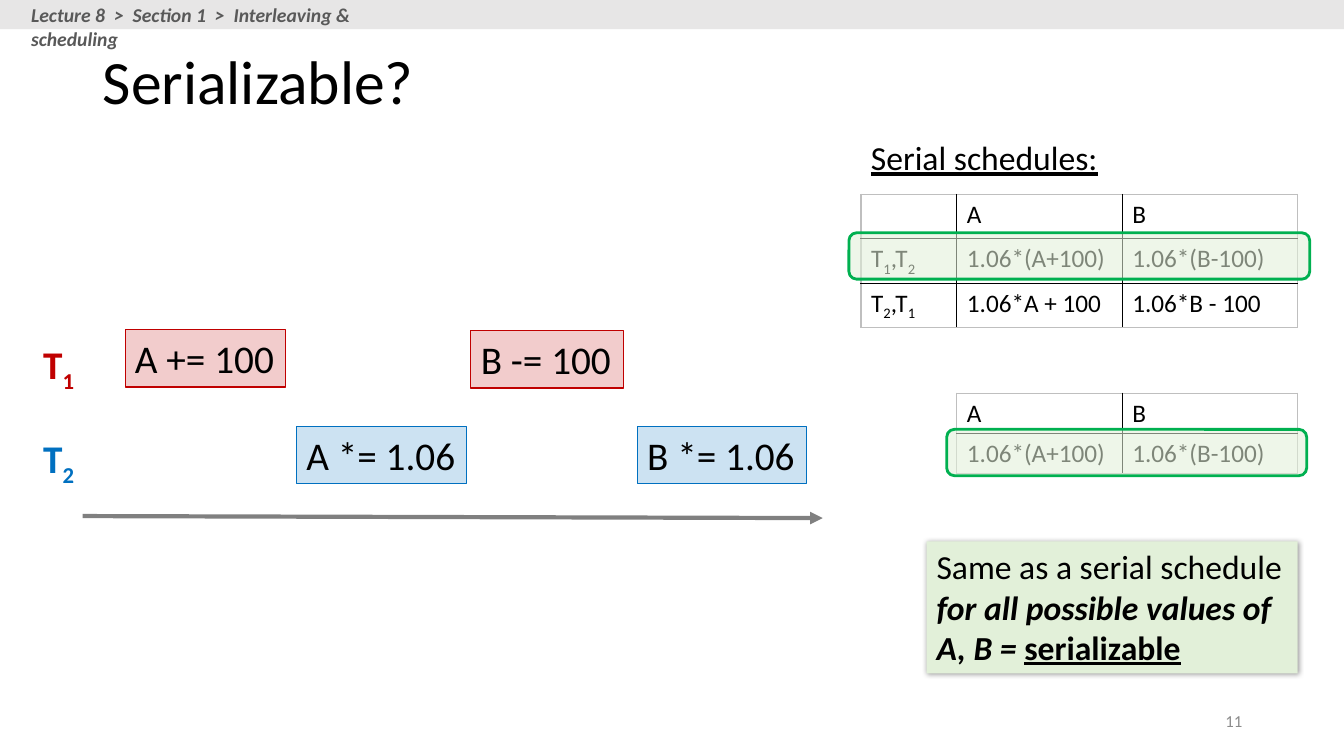
import pptx
import pptx.util
import pptx.dml.color
import pptx.enum.shapes
import pptx.enum.text
import pptx.oxml
import pptx.oxml.ns

Inches = pptx.util.Inches
Pt = pptx.util.Pt
RGBColor = pptx.dml.color.RGBColor
Align = pptx.enum.text.PP_ALIGN
Anchor = pptx.enum.text.MSO_ANCHOR
Shape = pptx.enum.shapes.MSO_SHAPE
Line = pptx.enum.shapes.MSO_CONNECTOR
qn = pptx.oxml.ns.qn

BLACK = RGBColor(0x00, 0x00, 0x00)
RED = RGBColor(0xC0, 0x00, 0x00)
BLUE = RGBColor(0x00, 0x70, 0xC0)
GREEN = RGBColor(0x00, 0xB0, 0x50)
PALE = RGBColor(0xE2, 0xF0, 0xD9)
BAND = RGBColor(0xE7, 0xE6, 0xE6)
DARK = RGBColor(0x59, 0x59, 0x59)
GREY = RGBColor(0x80, 0x80, 0x80)
DIM = RGBColor(0x8C, 0x8C, 0x8C)
EDGE = RGBColor(0xBF, 0xBF, 0xBF)

SUB = {"base": -25}
T1 = [("T", {}), ("1", SUB)]
T2 = [("T", {}), ("2", SUB)]
COMMA = [(",", {})]
SAME = ["1.06*(A+100)", "1.06*(B-100)"]


def node(tag, inner="", **attrs):
    text = "".join(f' {key}="{val}"' for key, val in attrs.items())
    space = pptx.oxml.ns.nsdecls("a")
    return pptx.oxml.parse_xml(f"<a:{tag} {space}{text}>{inner}</a:{tag}>")


def write(frame, text, size=18, color=BLACK, align=Align.LEFT,
          anchor=Anchor.TOP, wrap=True, **style):
    frame.word_wrap = wrap
    frame.vertical_anchor = anchor
    para = frame.paragraphs[0]
    para.alignment = align
    for part, extra in [(text, {})] if isinstance(text, str) else text:
        look = {**style, **extra}
        run = para.add_run()
        run.text = part
        font = run.font
        font.name = "Calibri"
        font.size = Pt(size)
        font.color.rgb = color
        font.bold = look.get("bold", False)
        font.italic = look.get("italic", False)
        font.underline = look.get("under", False)
        if "base" in look:
            font._element.set("baseline", str(look["base"] * 1000))


def label(slide, spot, text, **style):
    box = slide.shapes.add_textbox(*map(Inches, spot))
    write(box.text_frame, text, **style)


def block(slide, spot, fill, kind=Shape.RECTANGLE, alpha=100, edge=None, width=0.75):
    shape = slide.shapes.add_shape(kind, *map(Inches, spot))
    shape.shadow.inherit = False
    shape.fill.solid()
    shape.fill.fore_color.rgb = fill
    if alpha < 100:
        tint = shape._element.spPr.find(qn("a:solidFill"))[0]
        tint.append(node("alpha", val=alpha * 1000))
    if edge is None:
        shape.line.fill.background()
    else:
        shape.line.color.rgb = edge
        shape.line.width = Pt(width)
    return shape


def action(slide, spot, text, color):
    shape = block(slide, spot, color, alpha=20, edge=color)
    write(shape.text_frame, text, size=28, wrap=False)


def ring(slide, spot):
    block(slide, spot, PALE, kind=Shape.ROUNDED_RECTANGLE, alpha=56, edge=GREEN, width=2)


def arrow(slide, start, end):
    line = slide.shapes.add_connector(Line.STRAIGHT, *map(Inches, start + end))
    line.line.color.rgb = GREY
    line.line.width = Pt(3)
    line.line._get_or_add_ln().append(node("tailEnd", type="triangle"))
    line._element.spPr.append(node("effectLst"))


def border(cell, outer):
    props = cell._tc.get_or_add_tcPr()
    for spot, (side, out) in enumerate(zip("LRTB", outer)):
        color = EDGE if out else BLACK
        fill = f'<a:solidFill><a:srgbClr val="{color}"/></a:solidFill>'
        props.insert(spot, node("ln" + side, fill, w=Pt(1)))


def grid(slide, left, top, cols, high, rows):
    last, end = len(rows) - 1, len(cols) - 1
    frame = slide.shapes.add_table(
        len(rows), len(cols), Inches(left), Inches(top),
        Inches(sum(cols)), Inches(high * len(rows)))
    table = frame.table
    table.first_row = table.horz_banding = False
    for col, wide in zip(table.columns, cols):
        col.width = Inches(wide)
    for r, row in enumerate(rows):
        table.rows[r].height = Inches(high)
        for c, text in enumerate(row):
            cell = table.cell(r, c)
            cell.fill.background()
            write(cell.text_frame, text)
            border(cell, (c == 0, c == end, r == 0, r == last))


def head(slide):
    title = slide.shapes.title
    title.left, title.top, title.width, title.height = map(Inches, (0.92, 0.11, 11.5, 1.45))
    write(title.text_frame, "Serializable?", size=44, anchor=Anchor.MIDDLE)
    title.text_frame.paragraphs[0].line_spacing = 0.9
    label(slide, (9.42, 6.95, 3, 0.4), "11", size=12, color=DIM,
          align=Align.RIGHT, anchor=Anchor.MIDDLE)
    block(slide, (0, 0, 13.33, 0.29), BAND)
    label(slide, (0.21, -0.02, 4.18, 0.34),
          "Lecture 8  >  Section 1  >  Interleaving & scheduling",
          size=14, color=DARK, bold=True, italic=True)


def lanes(slide):
    arrow(slide, (0.82, 5.12), (8.16, 5.14))
    for name, top, color in ((T1, 3.33, RED), (T2, 4.26, BLUE)):
        label(slide, (0.33, top, 0.52, 0.57), name, size=28, color=color,
              bold=True, wrap=False)
    for text, left, top, wide, color in (
            ("A += 100", 1.24, 3.27, 1.59, RED),
            ("B -= 100", 4.67, 3.28, 1.51, RED),
            ("A *= 1.06", 2.94, 4.23, 1.69, BLUE),
            ("B *= 1.06", 6.32, 4.23, 1.68, BLUE)):
        action(slide, (left, top, wide, 0.57), text, color)


def verdict(slide):
    note = block(slide, (9.19, 5.37, 3.68, 1.31), PALE)
    shade = node("outerShdw", '<a:srgbClr val="000000"><a:alpha val="40000"/></a:srgbClr>',
                 blurRad=Pt(4), dist=Pt(1), dir=45 * 60000, algn="tl", rotWithShape=0)
    note._element.spPr.find(qn("a:effectLst")).append(shade)
    write(note.text_frame, [
        ("Same as a serial schedule ", {}),
        ("for all possible values of A, B = ", {"bold": True, "italic": True}),
        ("serializable", {"bold": True, "under": True})], size=24)


def results(slide):
    label(slide, (8.54, 1.31, 2.47, 0.5), "Serial schedules:", size=24,
          under=True, wrap=False)
    grid(slide, 8.54, 1.93, (0.95, 1.64, 1.74), 0.44, [
        ["", "A", "B"],
        [T1 + COMMA + T2, *SAME],
        [T2 + COMMA + T1, "1.06*A + 100", "1.06*B - 100"]])
    grid(slide, 9.49, 3.9, (1.64, 1.74), 0.4, [["A", "B"], SAME])
    ring(slide, (8.42, 2.31, 4.57, 0.46))
    ring(slide, (9.39, 4.26, 3.57, 0.46))


def main():
    deck = pptx.Presentation()
    deck.slide_width = Inches(13.33)
    deck.slide_height = Inches(7.5)
    slide = deck.slides.add_slide(deck.slide_layouts[5])
    head(slide)
    lanes(slide)
    verdict(slide)
    results(slide)
    deck.save("out.pptx")


if __name__ == "__main__":
    main()
